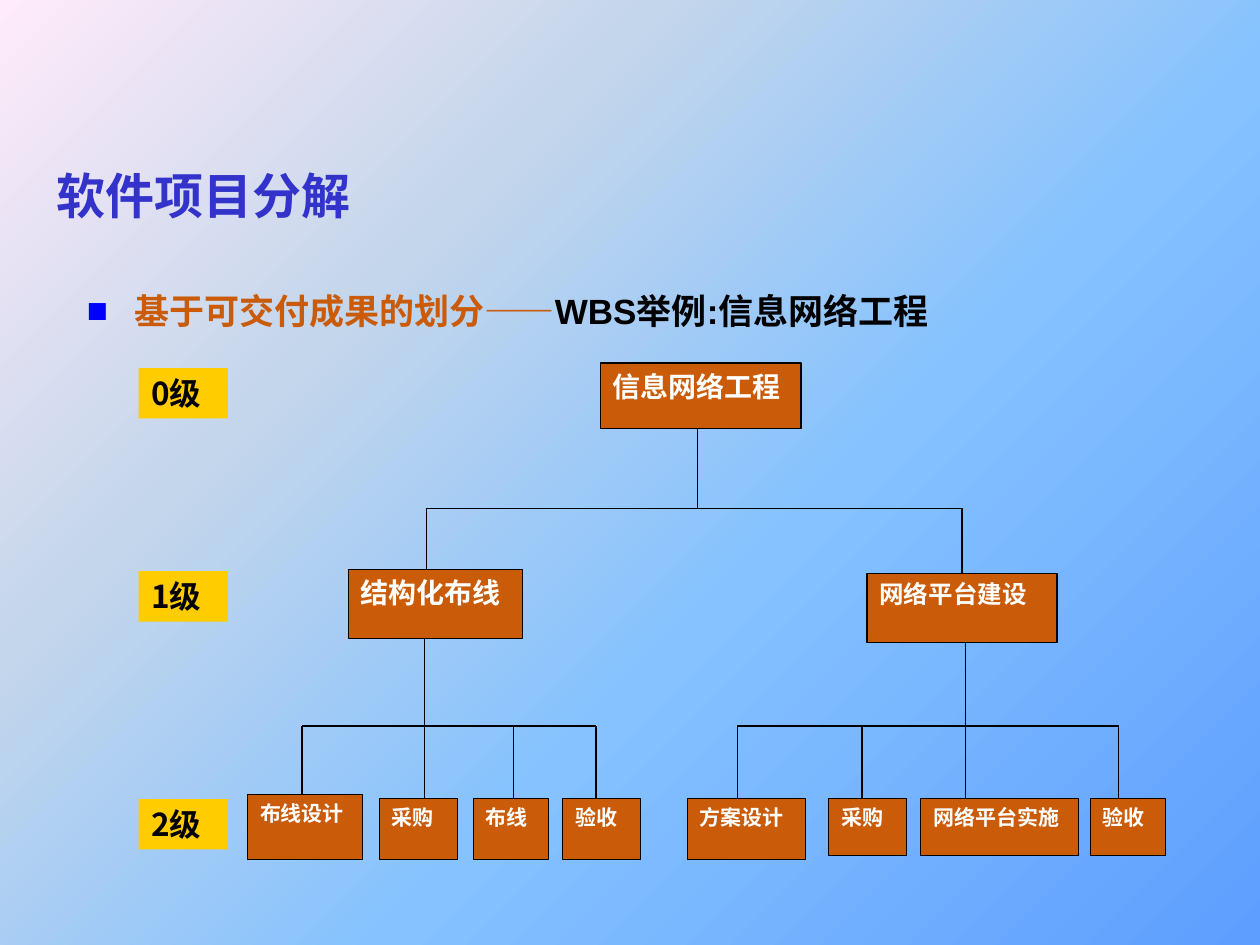
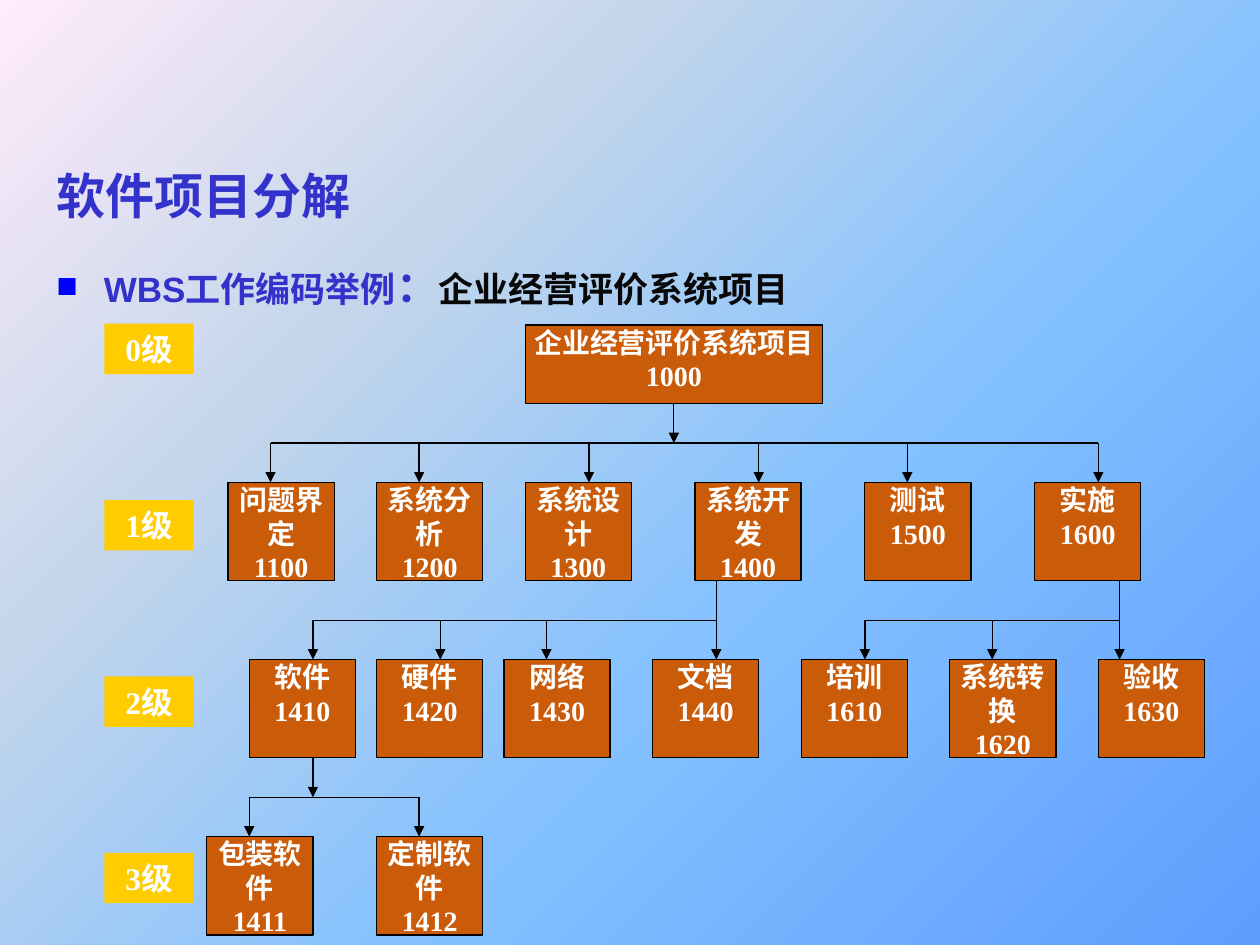
import pptx
import pptx.util
import pptx.dml.color
import pptx.enum.shapes
import pptx.enum.text
from lxml import etree
from pptx.oxml.ns import qn

Pt = pptx.util.Pt
ALIGN = pptx.enum.text.PP_ALIGN
ANCHOR = pptx.enum.text.MSO_ANCHOR
RECT = pptx.enum.shapes.MSO_SHAPE.RECTANGLE
STRAIGHT = pptx.enum.shapes.MSO_CONNECTOR.STRAIGHT

COLORS = {
    "title": "3333CC", "bullet": "0000FF", "box": "CA5B08", "level": "FFCC00",
    "white": "FFFFFF", "black": "000000", "ink": "080808",
}
SKY = [(0, "5E9EFF"), (40, "85C2FF"), (70, "C4D6EB"), (100, "FFEBFA")]
SANS, SERIF, HAN = "Arial", "Times New Roman", "Noto Sans CJK SC"


def rgb(name):
    return pptx.dml.color.RGBColor.from_string(COLORS[name])


def add(parent, tag, **attrs):
    return etree.SubElement(parent, qn(tag), **attrs)


class Deck:
    def __init__(self):
        self.prs = pptx.Presentation()
        self.prs.slide_width, self.prs.slide_height = Pt(720), Pt(540)
        self.slide = None

    def page(self, title):
        self.slide = self.prs.slides.add_slide(self.prs.slide_layouts[6])
        fill = self.slide.background.fill
        fill.gradient()
        fill.gradient_angle = 135
        stops = next(self.slide.element.iter(qn("a:gsLst")))
        for stop in list(stops):
            stops.remove(stop)
        for pos, color in SKY:
            stop = add(stops, "a:gs", pos=str(pos * 1000))
            add(stop, "a:srgbClr", val=color)
        frame = self.text(25.2, 82.8, 680.4, 56.9)
        frame.vertical_anchor = ANCHOR.MIDDLE
        self.run(frame.paragraphs[0], title, 28, SANS, "title")

    def text(self, x, y, w, h):
        box = self.slide.shapes.add_textbox(Pt(x), Pt(y), Pt(w), Pt(h))
        box.text_frame.word_wrap = True
        return box.text_frame

    def run(self, para, text, size, face, color):
        run = para.add_run()
        run.text = text
        font = run.font
        font.size, font.bold, font.name = Pt(size), True, face
        font.color.rgb = rgb(color)
        add(font._element, "a:ea", typeface=HAN)

    def point(self, x, y, w, h, parts):
        """Bulleted line made of (text, size, color) parts."""
        para = self.text(x, y, w, h).paragraphs[0]
        props = para._p.get_or_add_pPr()
        props.set("marL", str(Pt(27)))
        props.set("indent", str(-Pt(27)))
        tint = add(props, "a:buClr")
        add(tint, "a:srgbClr", val=COLORS["bullet"])
        add(props, "a:buFont", typeface=SANS)
        add(props, "a:buChar", char="■")
        for text, size, color in parts:
            self.run(para, text, size, SANS, color)

    def rect(self, x, y, w, h, fill, lines, size, face, color, align):
        shape = self.slide.shapes.add_shape(RECT, Pt(x), Pt(y), Pt(w), Pt(h))
        shape.shadow.inherit = False
        shape.fill.solid()
        shape.fill.fore_color.rgb = rgb(fill)
        shape.line.fill.background()
        frame = shape.text_frame
        frame.word_wrap = True
        for i, line in enumerate(lines):
            para = frame.add_paragraph() if i else frame.paragraphs[0]
            para.alignment = align
            self.run(para, line, size, face, color)
        return shape

    def box(self, x, y, w, h, lines, size, face, align, inset=None):
        shape = self.rect(x, y, w, h, "box", lines, size, face, "white", align)
        shape.line.color.rgb = rgb("black")
        shape.line.width = Pt(0.75)
        frame = shape.text_frame
        frame.vertical_anchor = ANCHOR.TOP
        if inset is not None:
            frame.margin_left = frame.margin_right = Pt(inset)
            frame.margin_top = frame.margin_bottom = Pt(inset)
        return shape

    def level(self, x, y, num, face, color, align):
        shape = self.rect(x, y, 51, 28.8, "level", [f"{num}级"], 18, face, color, align)
        shape.text_frame.vertical_anchor = ANCHOR.MIDDLE

    def line(self, x1, y1, x2, y2, arrow=False):
        line = self.slide.shapes.add_connector(STRAIGHT, Pt(x1), Pt(y1), Pt(x2), Pt(y2))
        line.line.color.rgb = rgb("black")
        line.line.width = Pt(0.75)
        if arrow:
            add(line.line._get_or_add_ln(), "a:tailEnd", type="triangle")
        add(line._element.spPr, "a:effectLst")
        return line

    def tree(self, top, stem, bar, drops, arrow=False):
        """Stem below top, a bar, and one drop for each (x, box) pair."""
        def centred(box, x):
            return abs(box.left + box.width / 2 - Pt(x)) < Pt(0.5)

        xs = [x for x, _ in drops]
        self.line(xs[0], bar, xs[-1], bar)
        foot = (top.top + top.height) / Pt(1)
        trunk = self.line(stem, foot, stem, bar, arrow and stem not in xs)
        if centred(top, stem):
            trunk.begin_connect(top, 2)
        for x, child in drops:
            drop = self.line(x, bar, x, child.top / Pt(1), arrow)
            if centred(child, x):
                drop.end_connect(child, 0)


def network(deck):
    deck.page("软件项目分解")
    deck.point(42.5, 162, 663, 378, [
        ("基于可交付成果的划分——", 20, "box"), ("WBS举例:信息网络工程", 20, "black")])

    def box(x, y, w, h, text, size=12):
        return deck.box(x, y, w, h, [text], size, HAN, ALIGN.JUSTIFY)

    root = box(343.2, 207.4, 114.5, 37.4, "信息网络工程", 16)
    cable = box(199.2, 325.4, 99.6, 39.4, "结构化布线", 16)
    net = box(495.5, 327.6, 108.5, 39.4, "网络平台建设", 14)
    tasks = [box(141.5, 454, 65.8, 37.2, "布线设计")]
    tasks += [box(x, 456.4, w, h, text) for x, w, h, text in [
        (216.7, 44.6, 34.8, "采购"), (270.5, 43, 34.8, "布线"),
        (321.6, 44.6, 34.8, "验收"), (392.8, 67.4, 34.8, "方案设计"),
        (473.6, 44.6, 32.4, "采购"), (526.2, 90.2, 32.4, "网络平台实施"),
        (623, 43, 32.4, "验收")]]
    deck.tree(root, 398.4, 290.4, [(243.8, cable), (549.75, net)])
    deck.tree(cable, 242.6, 414.8, list(zip([172.6, 242.6, 293.6, 340.6], tasks[:4])))
    deck.tree(net, 551.6, 414.8, list(zip([421.4, 492.6, 551.6, 639.2], tasks[4:])))
    for num, y in enumerate([210.4, 326.4, 456.6]):
        deck.level(79.2, y, num, HAN, "black", ALIGN.LEFT)


def codes(deck):
    deck.page("软件项目分解")
    deck.point(25.2, 145.4, 680.4, 394.6, [
        ("WBS工作编码举例", 20, "title"), ("：", 24, "title"),
        ("企业经营评价系统项目", 20, "ink")])

    def col(n):
        return 118.2 + 12.13 * n

    def row(n):
        return 185.8 + 22.48 * n

    def box(c, r, name, code, cols=5, rows=2.5):
        return deck.box(col(c), row(r), 12.13 * cols, 22.48 * rows,
                        [name, str(code)], 16, SERIF, ALIGN.CENTER, 0)

    def tree(top, stem, bar, stops, kids):
        drops = [(col(c), kid) for c, kid in zip(stops, kids)]
        deck.tree(top, col(stem), row(bar), drops, True)

    def series(r, first, step, items):
        return [box(c, r, name, first + step * i) for i, (c, name) in enumerate(items)]

    root = box(15, 0, "企业经营评价系统项目", 1000, 14, 2)
    phases = series(4, 1100, 100, [
        (1, "问题界定"), (8, "系统分析"), (15, "系统设计"),
        (23, "系统开发"), (31, "测试"), (39, "实施")])
    builds = series(8.5, 1410, 10, [(2, "软件"), (8, "硬件"), (14, "网络"), (21, "文档")])
    rollout = series(8.5, 1610, 10, [(28, "培训"), (35, "系统转换"), (42, "验收")])
    kinds = series(13, 1411, 1, [(0, "包装软件"), (8, "定制软件")])
    tree(root, 22, 3, [3, 10, 18, 26, 33, 42], phases)
    tree(phases[3], 24, 7.5, [5, 11, 16, 24], builds)
    tree(phases[5], 43, 7.5, [31, 37, 43], rollout)
    tree(builds[0], 5, 12, [2, 10], kinds)
    for num in range(4):
        deck.level(59.6, 185 + 100.8 * num, num, SERIF, "white", ALIGN.CENTER)


def main():
    deck = Deck()
    network(deck)
    codes(deck)
    deck.prs.save("out.pptx")


if __name__ == "__main__":
    main()
